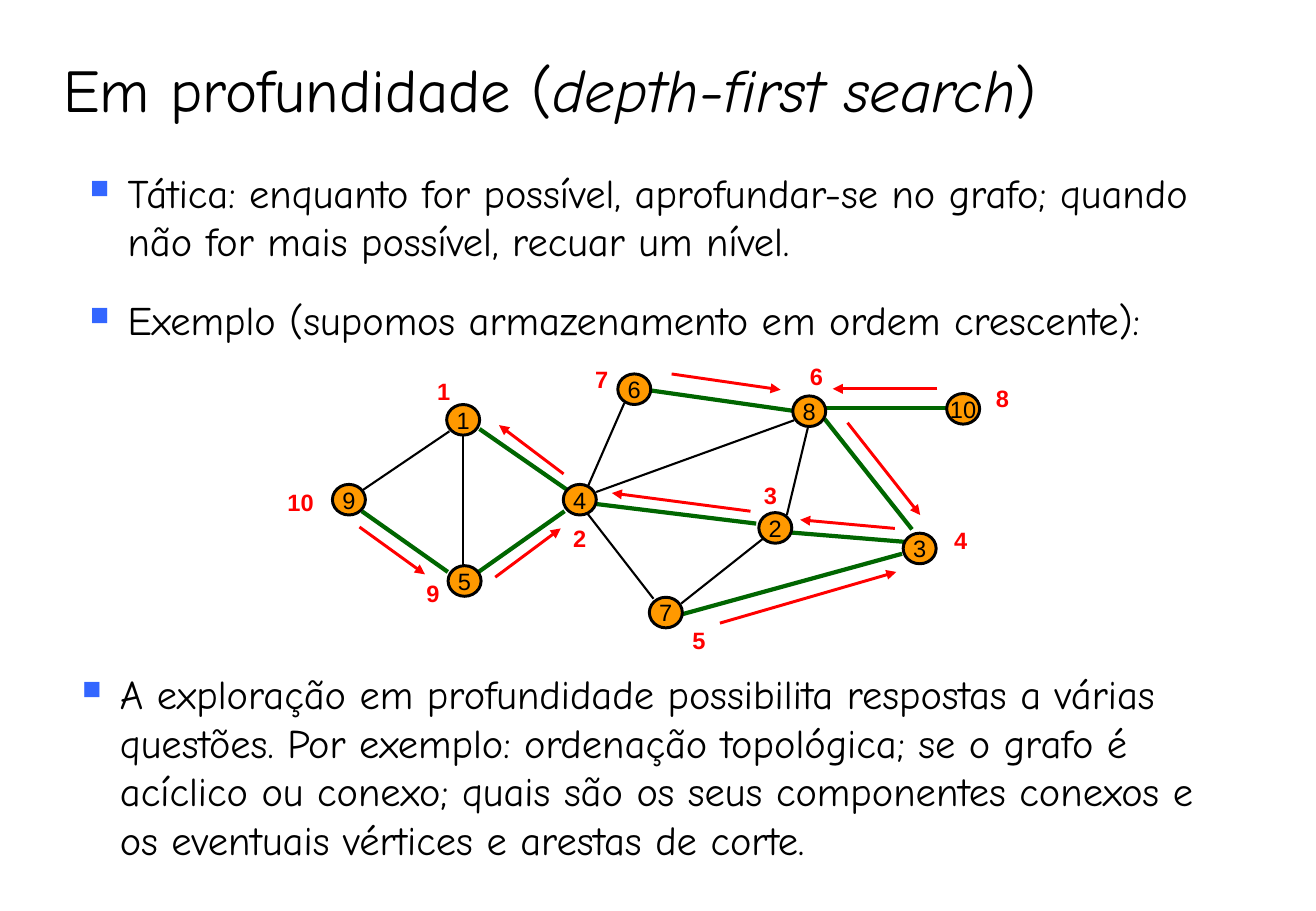
"""Slide on depth-first search with a worked graph example."""
from lxml import etree
from pptx import Presentation
from pptx.dml.color import RGBColor
from pptx.enum import shapes, text
from pptx.oxml import ns
from pptx.util import Cm, Pt

TITLE = [("Em profundidade (", False), ("depth-first search", True), (")", False)]
BULLETS = [
    (1.63, 3.38, 4.27, [
        "Tática: enquanto for possível, aprofundar-se no grafo; quando não for mais possível, recuar um nível.",
        "Exemplo (supomos armazenamento em ordem crescente):"]),
    (1.47, 13.87, 4.45, [
        "A exploração em profundidade possibilita respostas a várias questões. Por exemplo: "
        "ordenação topológica; se o grafo é acíclico ou conexo; quais são os seus componentes "
        "conexos e os eventuais vértices e arestas de corte."]),
]
NODES = {
    1: (9.69, 8.78), 2: (16.22, 11.04), 3: (19.24, 11.47), 4: (12.13, 10.45), 5: (9.72, 12.15),
    6: (13.27, 8.14), 7: (13.93, 12.81), 8: (16.93, 8.6), 9: (7.3, 10.45), 10: (20.15, 8.55),
}
VISIT_ORDER = {
    1: (9.28, 8.18), 2: (12.13, 11.25), 3: (16.12, 10.36), 4: (20.1, 11.3), 5: (14.62, 13.39),
    6: (17.08, 7.87), 7: (12.59, 7.92), 8: (20.97, 8.33), 9: (9.06, 12.4), 10: (6.29, 10.49),
}
OTHER_EDGES = [
    (7.57, 10.26, 9.4, 9.02), (9.68, 9.04, 9.68, 11.81), (12.29, 10.19, 13.06, 8.43),
    (12.47, 10.29, 16.61, 8.79), (16.92, 8.86, 16.46, 10.77), (12.29, 10.74, 13.67, 12.52),
    (14.25, 12.62, 15.98, 11.25),
]
TREE_EDGES = [
    (7.57, 10.69, 9.37, 11.96), (10.01, 11.96, 11.81, 10.69), (17.27, 8.53, 19.81, 8.53),
    (10.03, 8.97, 11.86, 10.24), (12.47, 10.54, 15.82, 10.95), (16.48, 11.13, 18.92, 11.33),
    (14.25, 12.85, 18.87, 11.58), (17.25, 8.76, 19.08, 11.07), (13.51, 8.15, 16.59, 8.59),
]
ARROWS = [
    (14.05, 7.82, 16.33, 8.15), (15.7, 10.69, 12.8, 10.31), (15.06, 13.03, 18.75, 11.96),
    (17.73, 8.84, 19.25, 10.77), (18.72, 11.05, 16.74, 10.87), (19.61, 8.13, 17.42, 8.13),
    (7.52, 11.02, 8.89, 12.01), (10.36, 12.07, 11.73, 11.05), (11.79, 9.91, 10.44, 8.89),
]
BLACK, RED, GREEN, ORANGE, BLUE = "000000", "FF0000", "006600", "FF9900", "3366FF"
NODE_SIZE = (0.69, 0.64)
ORDER_SIZE = (1.2, 0.86)


def rgb(value):
    return RGBColor.from_string(value)


def add_run(paragraph, words, font, size, color=BLACK, bold=False, italic=False):
    run = paragraph.add_run()
    run.text = words
    run.font.name, run.font.size = font, Pt(size)
    run.font.bold, run.font.italic = bold, italic
    run.font.color.rgb = rgb(color)


def add_line(slide, ends, color, width, arrow=False):
    line = slide.shapes.add_connector(shapes.MSO_CONNECTOR.STRAIGHT, *map(Cm, ends))
    line.line.color.rgb, line.line.width = rgb(color), Pt(width)
    if arrow:
        etree.SubElement(line.line._get_or_add_ln(), ns.qn("a:tailEnd"), type="triangle")
    etree.SubElement(line._element.spPr, ns.qn("a:effectLst"))


def centred_box(center, size):
    return [Cm(c - s / 2) for c, s in zip(center, size)] + [Cm(s) for s in size]


def add_number(holder, number, color=BLACK, bold=False):
    frame = holder.text_frame
    frame.margin_left = frame.margin_right = frame.margin_top = frame.margin_bottom = 0
    frame.word_wrap = False
    frame.vertical_anchor = text.MSO_ANCHOR.MIDDLE
    paragraph = frame.paragraphs[0]
    paragraph.alignment = text.PP_ALIGN.CENTER
    add_run(paragraph, str(number), "Arial", 14, color, bold)


def add_node(slide, number, center):
    node = slide.shapes.add_shape(shapes.MSO_SHAPE.OVAL, *centred_box(center, NODE_SIZE))
    node.shadow.inherit = False
    node.fill.solid()
    node.fill.fore_color.rgb = rgb(ORANGE)
    node.line.color.rgb, node.line.width = rgb(BLACK), Pt(1.75)
    add_number(node, number)


def add_bullets(slide, left, top, height, items):
    frame = slide.shapes.add_textbox(Cm(left), Cm(top), Cm(24.77), Cm(height)).text_frame
    frame.word_wrap = True
    for index, item in enumerate(items):
        paragraph = frame.add_paragraph() if index else frame.paragraphs[0]
        properties = paragraph._p.get_or_add_pPr()
        properties.set("marL", str(Cm(0.79)))
        properties.set("indent", str(-Cm(0.79)))
        paragraph.space_before, paragraph.space_after = Pt(9 if index else 0), Pt(9)
        bullet_color = etree.SubElement(properties, ns.qn("a:buClr"))
        etree.SubElement(bullet_color, ns.qn("a:srgbClr"), val=BLUE)
        etree.SubElement(properties, ns.qn("a:buSzPct"), val="65000")
        etree.SubElement(properties, ns.qn("a:buChar"), char="■")
        add_run(paragraph, item, "Comic Neue", 24)


def add_title(slide):
    title = slide.shapes.title
    title.left, title.top, title.width, title.height = Cm(1.07), Cm(0.64), Cm(24.77), Cm(2.11)
    frame = title.text_frame
    frame.auto_size = text.MSO_AUTO_SIZE.NONE
    frame.vertical_anchor = text.MSO_ANCHOR.BOTTOM
    paragraph = frame.paragraphs[0]
    paragraph.alignment, paragraph.line_spacing = text.PP_ALIGN.LEFT, 0.9
    for words, italic in TITLE:
        add_run(paragraph, words, "Comic Neue", 36, italic=italic)


def main():
    deck = Presentation()
    deck.slide_width, deck.slide_height = Cm(27.53), Cm(19.05)
    slide = deck.slides.add_slide(deck.slide_layouts[5])
    add_title(slide)
    for edges, color, width in [(OTHER_EDGES, BLACK, 1.25), (TREE_EDGES, GREEN, 2.5)]:
        for ends in edges:
            add_line(slide, ends, color, width)
    for ends in ARROWS:
        add_line(slide, ends, RED, 1.75, arrow=True)
    for number, center in NODES.items():
        add_node(slide, number, center)
    for number, center in VISIT_ORDER.items():
        order = slide.shapes.add_textbox(*centred_box(center, ORDER_SIZE))
        add_number(order, number, RED, bold=True)
    for block in BULLETS:
        add_bullets(slide, *block)
    deck.save("out.pptx")


if __name__ == "__main__":
    main()
